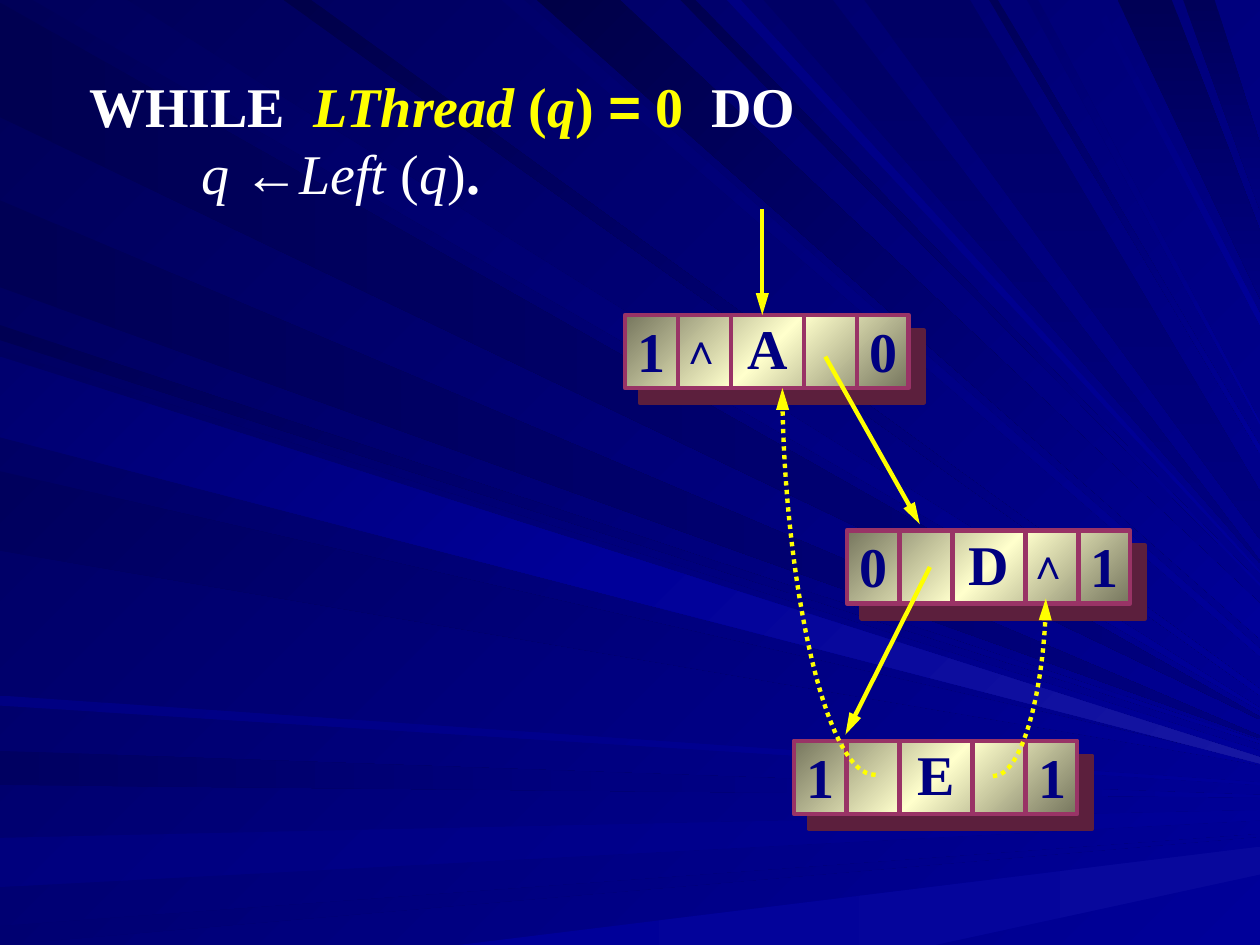
from copy import deepcopy
from dataclasses import dataclass

from lxml import etree
from pptx import Presentation
from pptx.dml.color import RGBColor
from pptx.enum.dml import MSO_LINE
from pptx.enum.shapes import MSO_CONNECTOR, MSO_SHAPE
from pptx.enum.text import PP_ALIGN
from pptx.oxml.ns import qn
from pptx.util import Inches, Pt

RECTANGLE = MSO_SHAPE.RECTANGLE
STRAIGHT = MSO_CONNECTOR.STRAIGHT
DOTTED = MSO_LINE.ROUND_DOT
CENTER, LEFT = PP_ALIGN.CENTER, PP_ALIGN.LEFT
WIDTH, HEIGHT = 10, 7.5


@dataclass(frozen=True)
class Theme:
    backdrop: tuple = ("000058", "000099")
    card: tuple = ("76765E", "FFFFCC", "76765E")
    border: str = "993366"
    shadow: str = "5C1F3D"
    ink: str = "000080"
    white: str = "FFFFFF"
    accent: str = "FFFF00"
    serif: str = "Times New Roman"
    sans: str = "Arial"
    large: int = 32
    caret: int = 24
    stroke: float = 2.5


THEME = Theme()


@dataclass(frozen=True)
class Ray:
    """A beam from a span of one edge to a height on the right edge."""
    edge: str
    near: float
    width: float
    far: float
    colors: str
    spread: float = 0.02

    def corners(self):
        ends = [self.near, self.near + self.width]
        if self.edge == "left":
            start = [(0, y) for y in ends]
        elif self.edge == "top":
            start = [(x, 0) for x in reversed(ends)]
        else:
            start = [(x, HEIGHT) for x in ends]
        return start + [(WIDTH, self.far + self.spread), (WIDTH, self.far)]


RAYS = [
    Ray("left", 0.02, 0.91, 5.69, "000051 000080"),
    Ray("top", 0.26, 0.75, 5.62, "00005D 000099"),
    Ray("left", 5.96, 0.27, 6.31, "000061 000080 000099"),
    Ray("left", 6.65, 0.39, 6.43, "00007D 000099", 0.08),
    Ray("left", 7.35, 0.15, 6.62, "00006F 000099"),
    Ray("bottom", 3.64, 3.78, 6.72, "000099 08089C", 0.22),
    Ray("left", 2.58, 0.12, 5.88, "000053 000099"),
    Ray("left", 1.59, 0.69, 5.84, "000055 000080"),
    Ray("top", 3.98, 0.18, 5.15, "00006B 000099", 0.06),
    Ray("top", 4.26, 0.66, 4.79, "000047 000099", 0.28),
    Ray("top", 5.4, 0.12, 4.63, "00004F 000099"),
    Ray("top", 6.06, 0.55, 4.45, "000065 000080"),
    Ray("top", 8.87, 0.43, 1.83, "000055 000080", 0.54),
    Ray("top", 9.39, 0.25, 1.14, "000059 000080", 0.53),
    Ray("left", 2.78, 0.64, 5.96, "000061 000099", 0.06),
    Ray("left", 3.74, 0.63, 6.05, "00005D 000099"),
    Ray("left", 5.52, 0.08, 6.21, "000082 000099"),
    Ray("top", 2.25, 0.22, 5.47, "00004A 000099", 0.05),
    Ray("top", 5.77, 0.11, 4.53, "000082 000099"),
    Ray("top", 6.86, 0.84, 3.9, "000065 000080", 0.38),
    Ray("top", 7.85, 0.07, 3.54, "000058 000099", 0.06),
    Ray("top", 8.15, 0.09, 3.35, "00006F 000099"),
    Ray("top", 8.65, 0.07, 2.49, "000079 000099", 0.09),
    Ray("left", 2.83, 0.64, 6.01, "00006F 000099 1717A2", 0.05),
]


def fill_gradient(fill, owner, colors, angle):
    """Spread the colours evenly; owner is the XML element holding the fill."""
    fill.gradient()
    fill.gradient_angle = (360 - angle) % 360
    stop_list = owner.find(".//" + qn("a:gsLst"))
    while len(stop_list) < len(colors):
        stop_list.append(deepcopy(stop_list[0]))
    for index, (stop, color) in enumerate(zip(fill.gradient_stops, colors)):
        stop.position = index / (len(colors) - 1)
        stop.color.rgb = RGBColor.from_string(color)


def style_line(shape, color, arrow=False):
    shape.line.color.rgb = RGBColor.from_string(color)
    shape.line.width = Pt(THEME.stroke)
    if arrow:
        etree.SubElement(shape.line._get_or_add_ln(), qn("a:tailEnd"), type="triangle", w="med", len="lg")


def add_line(page, start, end, color, arrow=False):
    line = page.shapes.add_connector(STRAIGHT, *(Inches(value) for value in (*start, *end)))
    style_line(line, color, arrow)
    etree.SubElement(line._element.spPr, qn("a:effectLst"))


def add_outline(page, points, close=True):
    first, *rest = [(Inches(x), Inches(y)) for x, y in points]
    builder = page.shapes.build_freeform(*first, scale=1.0)
    builder.add_line_segments(rest, close=close)
    outline = builder.convert_to_shape()
    outline.shadow.inherit = False
    return outline


def add_rays(page):
    for ray in RAYS:
        beam = add_outline(page, ray.corners())
        beam.line.fill.background()
        colors = ray.colors.split()
        angle = 45 if colors[1] == "000099" else 90 if ray.edge == "top" else 0
        fill_gradient(beam.fill, beam._element, colors, angle)


def add_thread(page, start, bottom, end):
    """Dotted quarter-ellipse arrow that leaves sideways and rises to its end."""
    (x, y), (end_x, end_y) = start, end
    bend = 0.55
    controls = [(x + (end_x - x) * bend, bottom), (end_x, end_y + (bottom - end_y) * (1 - bend))]
    thread = add_outline(page, [start, *controls, end], close=False)
    thread.fill.background()
    segments = list(thread._element.iter(qn("a:lnTo")))
    curve = etree.Element(qn("a:cubicBezTo"))
    segments[0].addprevious(curve)
    for segment in segments:
        curve.append(segment[0])
        segment.getparent().remove(segment)
    thread.line.dash_style = DOTTED
    style_line(thread, THEME.accent, arrow=True)


def add_span(para, text, color, size=THEME.large, name=THEME.serif, bold=True, italic=False):
    span = para.add_run()
    span.text = text
    span.font.color.rgb = RGBColor.from_string(color)
    for key, value in dict(size=Pt(size), name=name, bold=bold, italic=italic).items():
        setattr(span.font, key, value)


def add_text_box(page, left, top, width, height):
    box = page.shapes.add_textbox(*(Inches(value) for value in (left, top, width, height)))
    box.text_frame.word_wrap = True
    return box.text_frame


def add_code(page, left, top, width, height):
    white, accent = dict(color=THEME.white), dict(color=THEME.accent)
    plain = dict(color=THEME.white, bold=False)
    slanted, sans = dict(italic=True), dict(name=THEME.sans)
    lines = [
        (0.41, [("WHILE  ", white), ("LThread ", accent | slanted), ("(", accent),
                ("q", accent | slanted), (") ", accent), ("=", accent | sans),
                (" 0  ", accent), ("DO", white)]),
        (1.3, [("q ", plain | slanted), ("←", plain | sans), ("Left ", plain | slanted),
               ("(", plain), ("q", plain | slanted), (")", plain), (".", white)]),
    ]
    frame = add_text_box(page, left, top, width, height)
    for index, (indent, spans) in enumerate(lines):
        para = frame.add_paragraph() if index else frame.paragraphs[0]
        para._p.get_or_add_pPr().set("marL", str(Inches(indent)))
        for text, style in spans:
            add_span(para, text, **style)


def add_node(page, left, top, labels):
    """Five-cell tree node: left tag, left link, key, right link, right tag."""
    width, height = 2.25, 0.58
    edges = [left + offset for offset in (0, 0.42, 0.84, 1.42, 1.84)]
    card = page.shapes.add_shape(RECTANGLE, *(Inches(value) for value in (left, top, width, height)))
    fill_gradient(card.fill, card._element, THEME.card, 45)
    style_line(card, THEME.border)
    card.shadow.inherit = False
    effects = card._element.spPr.find(qn("a:effectLst"))
    shadow = etree.SubElement(effects, qn("a:outerShdw"), dist=str(Pt(12.1)), dir="2700000", algn="ctr", rotWithShape="0")
    etree.SubElement(shadow, qn("a:srgbClr"), val=THEME.shadow)
    for edge in edges[1:]:
        add_line(page, (edge, top), (edge, top + height), THEME.border)
    for index, (edge, label) in enumerate(zip(edges, labels)):
        if not label:
            continue
        is_key, size = index == 2, THEME.large
        if label == "∧":
            area, size = (edge - 0.08, top + 0.01, 0.5, 0.5), THEME.caret
        elif is_key:
            area = (edge, top, height, height)
        else:
            area = (edge, top - 0.04, 0.5, 0.64)
        para = add_text_box(page, *area).paragraphs[0]
        para.alignment = CENTER if is_key else LEFT
        para.line_spacing = 0.9 if is_key else 1.0
        add_span(para, label, THEME.ink, size)


def main():
    deck = Presentation()
    deck.slide_width, deck.slide_height = Inches(WIDTH), Inches(HEIGHT)
    page = deck.slides.add_slide(deck.slide_layouts[6])
    fill_gradient(page.background.fill, page._element, THEME.backdrop, 45)
    add_rays(page)
    add_code(page, 0.2, 0.52, 9.53, 6.7)
    add_node(page, 4.96, 2.5, ("1", "∧", "A", "", "0"))
    add_node(page, 6.72, 4.21, ("0", "", "D", "∧", "1"))
    add_node(page, 6.3, 5.88, ("1", "", "E", "", "1"))
    for start, end in [((6.55, 2.83), (7.3, 4.16)), ((7.38, 4.5), (6.71, 5.83)), ((6.05, 1.66), (6.05, 2.5))]:
        add_line(page, start, end, THEME.accent, arrow=True)
    add_thread(page, (6.95, 6.15), 6.16, (6.21, 3.08))
    add_thread(page, (7.88, 6.16), 6.16, (8.3, 4.75))
    deck.save("out.pptx")


if __name__ == "__main__":
    main()
